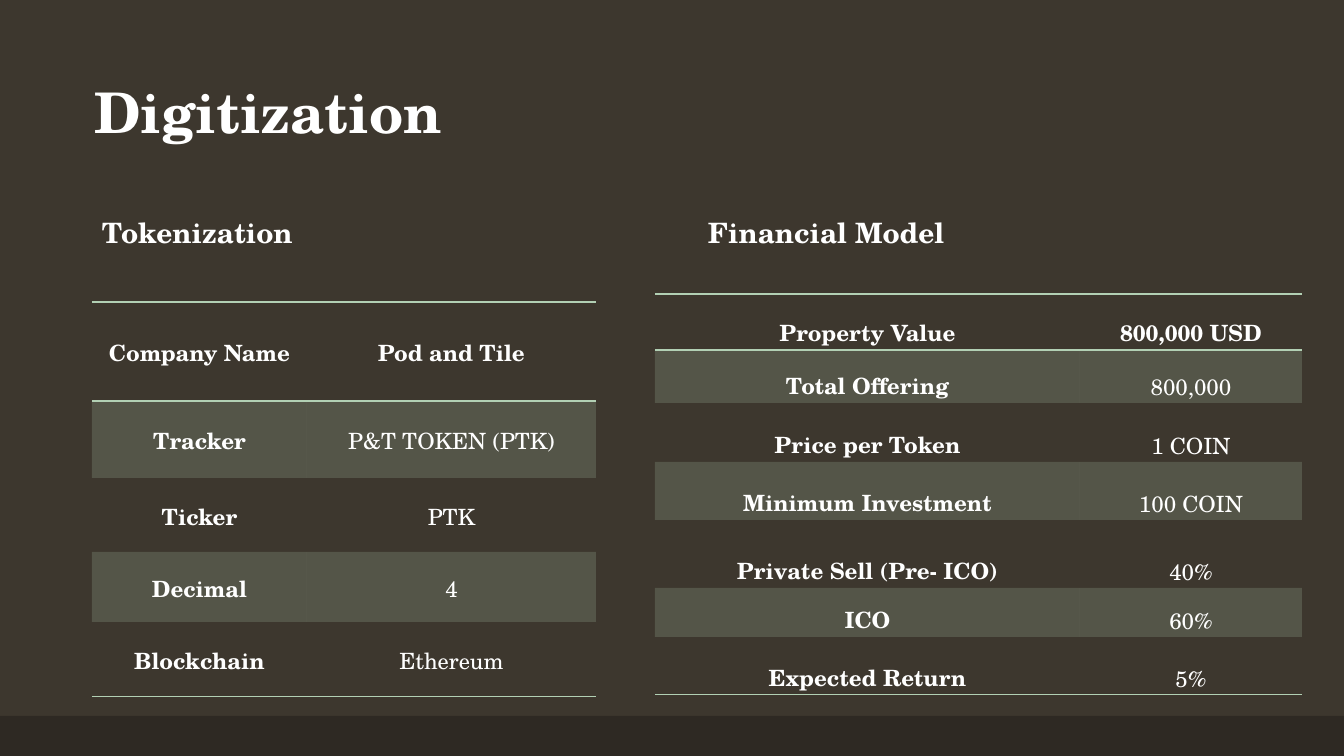
import pptx
import pptx.util
import pptx.dml.color
import pptx.enum.shapes
import pptx.enum.text
import pptx.oxml
import pptx.oxml.ns

ANCHOR = pptx.enum.text.MSO_ANCHOR
ALIGN = pptx.enum.text.PP_ALIGN

# Content (lengths in px)
TITLE = "Digitization"
SECTIONS = [
    {
        "heading": "Tokenization",
        "heading_left": 92,
        "table_at": (92, 302),
        "columns": (215, 289),
        "anchor": ANCHOR.MIDDLE,
        "rows": [
            (99, "Company Name", "Pod and Tile"),
            (77, "Tracker", "P&T TOKEN (PTK)"),
            (74, "Ticker", "PTK"),
            (70, "Decimal", "4"),
            (75, "Blockchain", "Ethereum"),
        ],
    },
    {
        "heading": "Financial Model",
        "heading_left": 698,
        "table_at": (655, 294),
        "columns": (425, 222),
        "anchor": ANCHOR.BOTTOM,
        "rows": [
            (56, "Property Value", "800,000 USD"),
            (53, "Total Offering", "800,000"),
            (59, "Price per Token", "1 COIN"),
            (58, "Minimum Investment", "100 COIN"),
            (68, "Private Sell (Pre- ICO)", "40%"),
            (49, "ICO", "60%"),
            (58, "Expected Return", "5%"),
        ],
    },
]

FONT = "TeX Gyre Schola"
COLORS = {"background": "3D372E", "footer": "2E2923", "text": "FFFFFF", "accent": "B2D0B4"}
SLIDE_W, SLIDE_H, FOOTER_TOP = 1344, 756, 716
BAND_ALPHA = 20000
PLAIN_TABLE_STYLE = "{2D5ABB26-0587-4C30-8999-92F81FD0307C}"


def px(length):
    return pptx.util.Emu(round(length * 914400 / 100.8))


def rgb(name):
    return pptx.dml.color.RGBColor.from_string(COLORS[name])


def write(frame, text, size, bold, spacing, align=ALIGN.LEFT):
    frame.text = text
    paragraph = frame.paragraphs[0]
    paragraph.alignment = align
    paragraph.line_spacing = spacing
    font = paragraph.font
    font.name, font.size, font.bold = FONT, pptx.util.Pt(size), bold
    font.color.rgb = rgb("text")


def tint(cell):
    cell.fill.solid()
    cell.fill.fore_color.rgb = rgb("accent")
    color = cell._tc.tcPr.find(".//" + pptx.oxml.ns.qn("a:srgbClr"))
    color.append(pptx.oxml.parse_xml(
        f'<a:alpha {pptx.oxml.ns.nsdecls("a")} val="{BAND_ALPHA}"/>'))


def rule(cell, sides):
    # Border lines come before the fill, top before bottom
    for place, side in enumerate(sides):
        cell._tc.tcPr.insert(place, pptx.oxml.parse_xml(
            f'<a:ln{side} {pptx.oxml.ns.nsdecls("a")} w="12700"><a:solidFill>'
            f'<a:srgbClr val="{COLORS["accent"]}"/></a:solidFill></a:ln{side}>'))


def add_section(slide, section):
    # Heading
    heading = slide.shapes.add_textbox(
        px(section["heading_left"]), px(197), px(554), px(75)).text_frame
    heading.word_wrap = True
    heading.vertical_anchor = ANCHOR.MIDDLE
    write(heading, section["heading"], 20, True, 0.9)

    # Table grid
    rows, columns = section["rows"], section["columns"]
    left, top = section["table_at"]
    table_height = sum(row[0] for row in rows)
    table = slide.shapes.add_table(
        len(rows), len(columns), px(left), px(top), px(sum(columns)), px(table_height)).table
    table._tbl.tblPr.find(pptx.oxml.ns.qn("a:tableStyleId")).text = PLAIN_TABLE_STYLE
    for column, width in zip(table.columns, columns):
        column.width = px(width)

    # Cells: bold header row and labels, every second row tinted
    for r, (height, *texts) in enumerate(rows):
        table.rows[r].height = px(height)
        for c, text in enumerate(texts):
            cell = table.cell(r, c)
            cell.margin_left = cell.margin_right = px(7)
            cell.margin_top = cell.margin_bottom = 0
            cell.vertical_anchor = section["anchor"]
            write(cell.text_frame, text, 16, r == 0 or c == 0, 1.07, ALIGN.CENTER)
            if r % 2:
                tint(cell)
            else:
                cell.fill.background()
            if r == 0:
                rule(cell, "TB")
            elif r == len(rows) - 1:
                rule(cell, "B")


def main():
    deck = pptx.Presentation()
    deck.slide_width, deck.slide_height = px(SLIDE_W), px(SLIDE_H)
    slide = deck.slides.add_slide(deck.slide_layouts[5])
    slide.background.fill.solid()
    slide.background.fill.fore_color.rgb = rgb("background")

    # Footer band
    footer = slide.shapes.add_shape(
        pptx.enum.shapes.MSO_SHAPE.RECTANGLE,
        0, px(FOOTER_TOP), px(SLIDE_W), px(SLIDE_H - FOOTER_TOP))
    footer.shadow.inherit = False
    footer.fill.solid()
    footer.fill.fore_color.rgb = rgb("footer")
    footer.line.fill.background()

    # Title
    title = slide.shapes.title
    title.left, title.top, title.width, title.height = px(84), px(40), px(1167), px(111)
    title.text_frame.vertical_anchor = ANCHOR.BOTTOM
    write(title.text_frame, TITLE, 40, True, 0.9)

    for section in SECTIONS:
        add_section(slide, section)
    deck.save("out.pptx")


if __name__ == "__main__":
    main()
